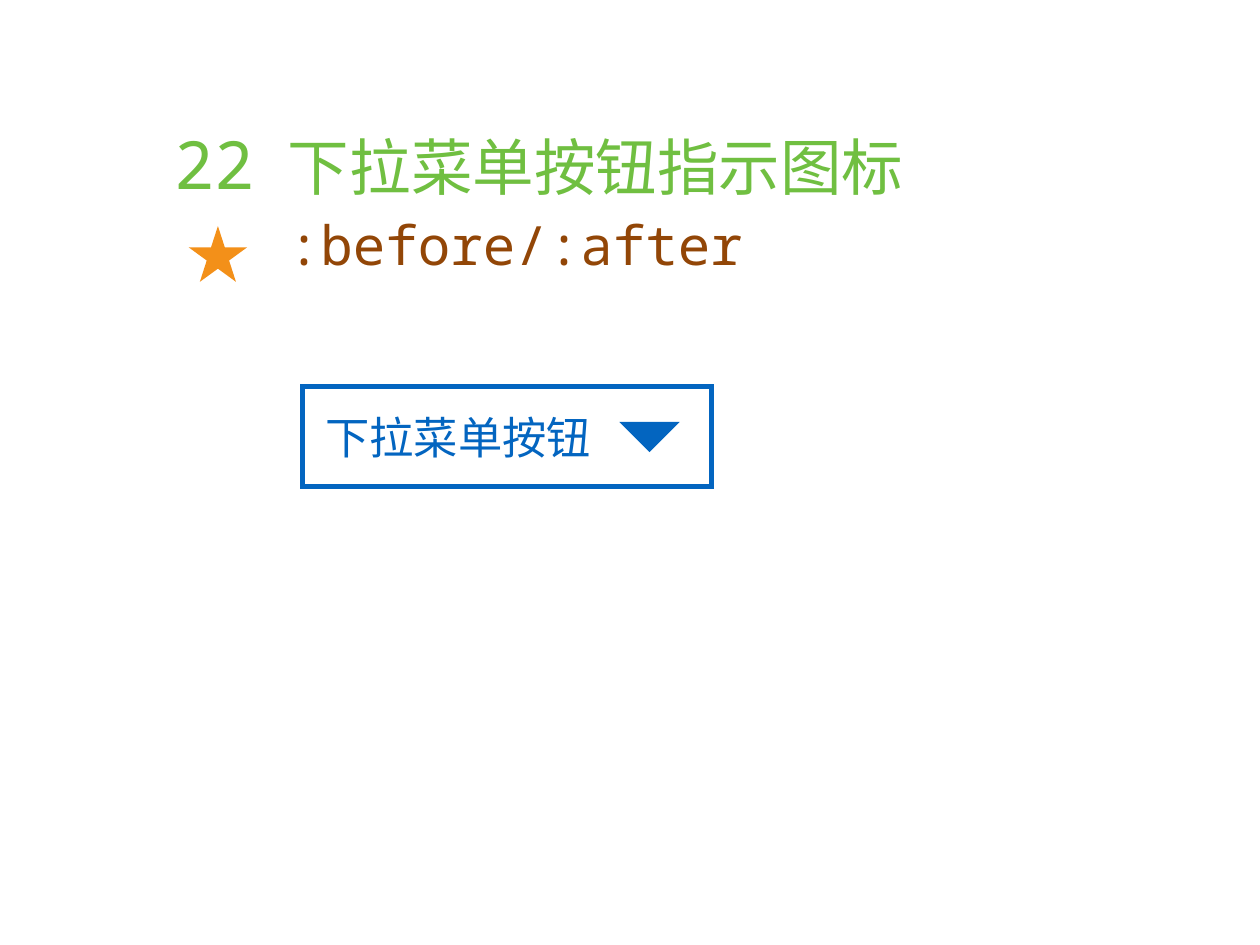
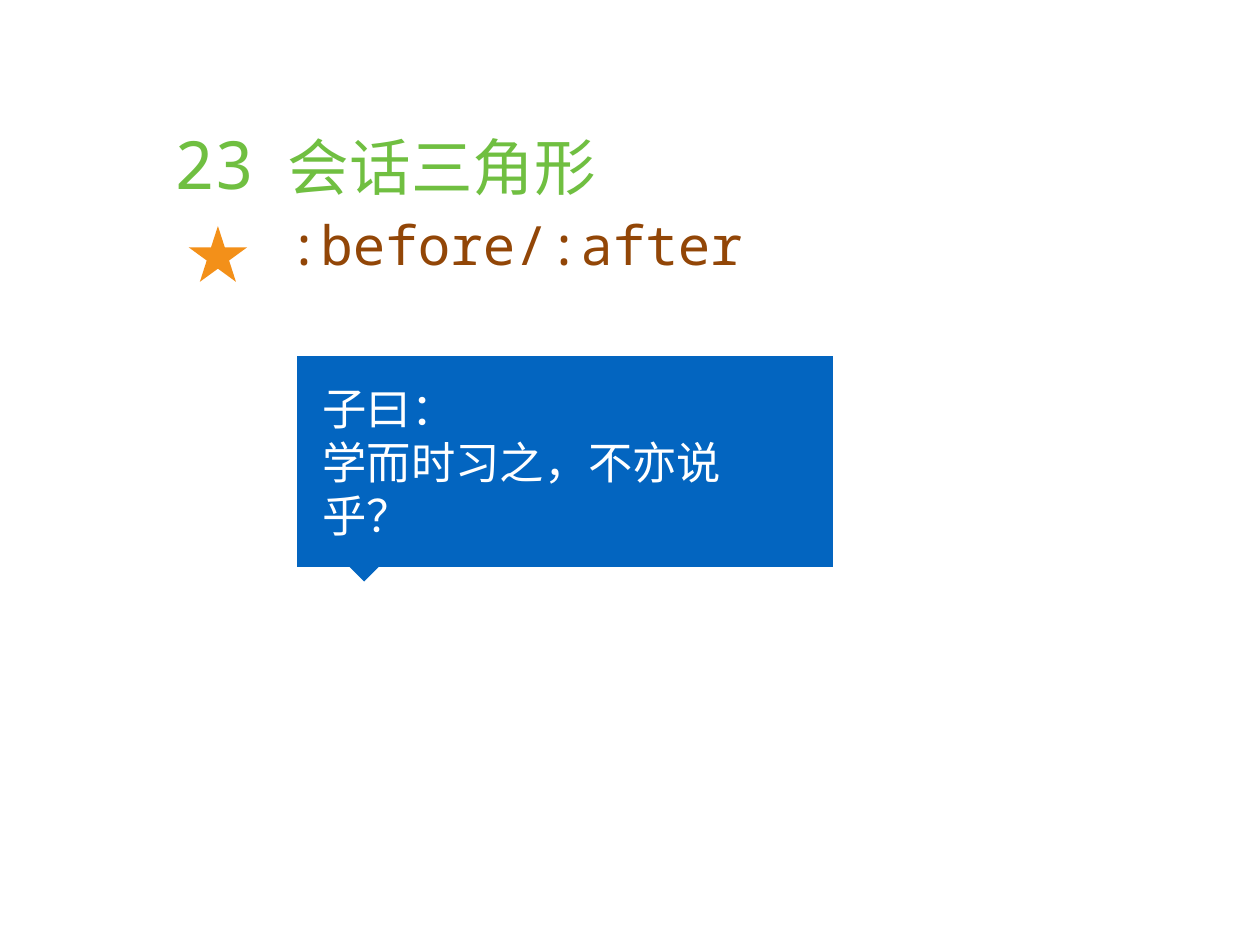
from dataclasses import dataclass

from lxml.etree import SubElement
from pptx import Presentation
from pptx.dml.color import RGBColor
from pptx.enum.shapes import MSO_SHAPE
from pptx.enum.text import MSO_ANCHOR, PP_ALIGN
from pptx.oxml.ns import qn
from pptx.util import Emu, Pt

PX = 9144  # EMU in one px, 100 px to the inch


@dataclass(frozen=True)
class Theme:
    white: str = "FFFFFF"
    green: str = "70BF41"
    brown: str = "924607"
    blue: str = "0365C0"
    orange: str = "F39019"
    mono: str = "Noto Sans Mono"
    chinese: str = "Noto Sans CJK SC"
    body: str = "Arial"
    number_size: int = 54
    title_size: int = 50
    topic_size: int = 44
    body_size: int = 36
    outline: float = 4
    border: float = 0.45


@dataclass(frozen=True)
class Example:
    number: str
    title: str
    lines: tuple[str, ...]
    frame: tuple[int, int, int, int]  # left, top, width, height
    filled: bool
    arrow: tuple[int, int]  # left end and top of the triangle


THEME = Theme()
TOPIC = ":before/:after"
ARROW_HALF = 34
EXAMPLES = (
    Example("22", "下拉菜单按钮指示图标", ("下拉菜单按钮",),
            (341, 436, 462, 113), False, (699, 476)),
    Example("23", "会话三角形", ("子曰：", "学而时习之，不亦说乎？"),
            (338, 404, 599, 233), True, (377, 622)),
)


def px(length: int) -> Emu:
    return Emu(length * PX)


def rgb(color: str) -> RGBColor:
    return RGBColor.from_string(color)


def write(para, text: str, *, size: int, font: str, color: str,
          align=PP_ALIGN.LEFT) -> None:
    """Put one formatted span of text into a paragraph."""
    para.alignment = align
    # Punctuation wraps with its word and never hangs in the margin
    para._p.get_or_add_pPr().set("hangingPunct", "0")
    span = para.add_run()
    span.text = text
    span.font.size = Pt(size)
    span.font.name = font
    span.font.color.rgb = rgb(color)
    SubElement(span.font._element, qn("a:ea")).set("typeface", font)


def set_margins(box, side: int, end: int) -> None:
    box.margin_left = box.margin_right = px(side)
    box.margin_top = box.margin_bottom = px(end)


def paint(shape, color: str) -> None:
    shape.shadow.inherit = False
    shape.fill.solid()
    shape.fill.fore_color.rgb = rgb(color)
    shape.line.fill.background()


def add_borders(cell) -> None:
    properties = cell._tc.get_or_add_tcPr()
    for position, side in enumerate(("lnL", "lnR", "lnT", "lnB")):
        border = properties.makeelement(
            qn(f"a:{side}"), {"w": str(Pt(THEME.border))})
        fill = SubElement(border, qn("a:solidFill"))
        SubElement(fill, qn("a:srgbClr")).set("val", THEME.white)
        properties.insert(position, border)


def add_heading(page, example: Example) -> None:
    """Table with the number on the left, title and topic on the right."""
    table = page.shapes.add_table(
        1, 2, px(129), px(129), px(1165), px(808)).table
    table.first_row = table.horz_banding = False
    for column, width in zip(table.columns, (177, 988)):
        column.width = px(width)
    for cell in table.rows[0].cells:
        set_margins(cell, 19, 5)
        cell.fill.background()
        add_borders(cell)
    number, heading = (cell.text_frame for cell in table.rows[0].cells)
    write(number.paragraphs[0], example.number, size=THEME.number_size,
          font=THEME.mono, color=THEME.green, align=PP_ALIGN.RIGHT)
    write(heading.paragraphs[0], example.title, size=THEME.title_size,
          font=THEME.chinese, color=THEME.green)
    write(heading.add_paragraph(), TOPIC, size=THEME.topic_size,
          font=THEME.mono, color=THEME.brown)


def add_frame(page, example: Example) -> None:
    """Button or speech box with its text."""
    shape = page.shapes.add_shape(
        MSO_SHAPE.RECTANGLE, *(px(length) for length in example.frame))
    paint(shape, THEME.blue)
    if not example.filled:
        shape.fill.background()
    shape.line.color.rgb = rgb(THEME.blue)
    shape.line.width = Pt(THEME.outline)
    SubElement(shape.line._ln, qn("a:miter")).set("lim", "400000")
    box = shape.text_frame
    box.word_wrap = True
    box.vertical_anchor = MSO_ANCHOR.MIDDLE
    set_margins(box, 26, 26)
    for index, line in enumerate(example.lines):
        para = box.add_paragraph() if index else box.paragraphs[0]
        write(para, line, size=THEME.body_size, font=THEME.body,
              color=THEME.white if example.filled else THEME.blue)


def add_arrow(page, left: int, top: int) -> None:
    """Triangle that points down."""
    outline = page.shapes.build_freeform(left, top, scale=PX)
    outline.add_line_segments([(left + ARROW_HALF, top + ARROW_HALF),
                               (left + 2 * ARROW_HALF, top)], close=True)
    paint(outline.convert_to_shape(), THEME.blue)


def add_star(page) -> None:
    star = page.shapes.add_shape(
        MSO_SHAPE.STAR_5_POINT, px(213), px(255), px(66), px(63))
    paint(star, THEME.orange)


def main() -> None:
    deck = Presentation()
    deck.slide_width, deck.slide_height = px(1422), px(1066)
    blank = deck.slide_layouts[6]
    for example in EXAMPLES:
        page = deck.slides.add_slide(blank)
        add_heading(page, example)
        add_frame(page, example)
        add_arrow(page, *example.arrow)
        add_star(page)
    deck.save("out.pptx")


if __name__ == "__main__":
    main()
